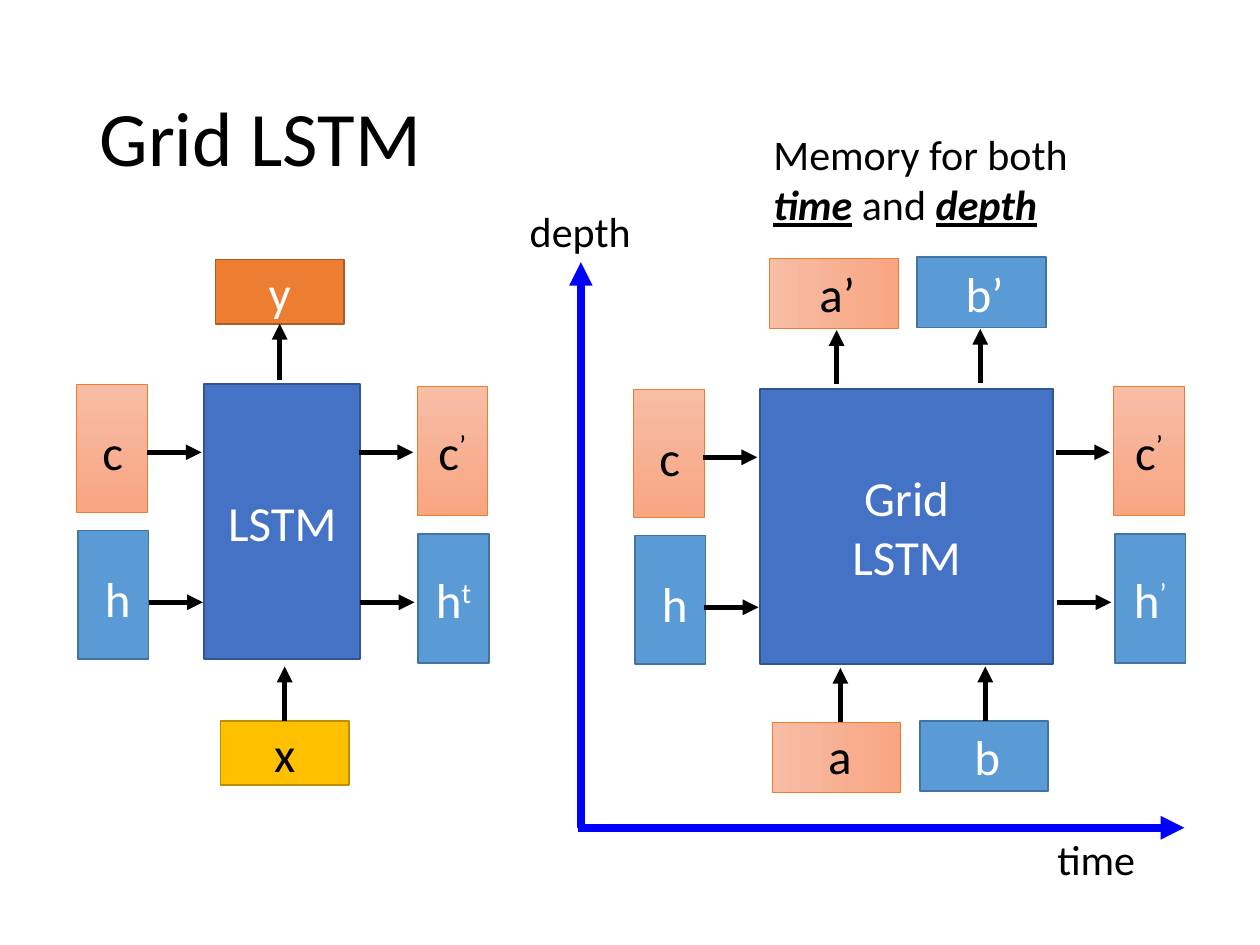
from lxml.etree import SubElement
from pptx import Presentation
from pptx.dml.color import RGBColor
from pptx.enum.shapes import MSO_CONNECTOR, MSO_SHAPE
from pptx.enum.text import MSO_ANCHOR, PP_ALIGN
from pptx.oxml.ns import qn
from pptx.util import Inches, Pt


def color(value):
    return RGBColor.from_string(value)


def style(paragraph, size, font_color, align=PP_ALIGN.CENTER):
    paragraph.alignment = align
    paragraph.font.name = "Calibri"
    paragraph.font.size = Pt(size)
    paragraph.font.color.rgb = color(font_color)


presentation = Presentation()
presentation.slide_width = Inches(10)
presentation.slide_height = Inches(7.5)
slide = presentation.slides.add_slide(presentation.slide_layouts[5])

title = slide.shapes.title
title.left, title.top = Inches(0.69), Inches(0.4)
title.width, title.height = Inches(8.62), Inches(1.45)
title.text_frame.text = "Grid LSTM"
title.text_frame.vertical_anchor = MSO_ANCHOR.MIDDLE
title.text_frame.paragraphs[0].line_spacing = 0.9
style(title.text_frame.paragraphs[0], 44, "000000", PP_ALIGN.LEFT)

looks = {
    "cell": ("4472C4", "325491", 1, "FFFFFF"),
    "memory": (None, "ED7D31", 0.5, "000000"),
    "hidden": ("5B9BD5", "43739E", 1, "FFFFFF"),
    "output": ("ED7D31", "AF5C24", 1, "FFFFFF"),
    "input": ("FFC000", "BD8E00", 1, "000000"),
}
state, flat = (0.56, 1.02), (1.02, 0.51)
boxes = [
    ("cell", 1.62, 3.05, (1.24, 2.18), 0, "LSTM", ""),
    ("output", 1.71, 2.06, flat, 0, "y", ""),
    ("input", 1.75, 5.72, flat, 0, "x", ""),
    ("memory", 0.61, 3.05, state, 0, "", ""),
    ("hidden", 0.62, 4.21, state, 0, "", ""),
    ("memory", 3.31, 3.07, state, 0, "c", "’"),
    ("hidden", 3.32, 4.24, state, 0, "h", "t"),
    ("cell", 6.03, 3.09, (2.33, 2.18), 0, "Grid\nLSTM", ""),
    ("memory", 5.03, 3.09, state, 0, "", ""),
    ("hidden", 5.04, 4.25, state, 0, "", ""),
    ("memory", 8.84, 3.07, state, 0, "c", "’"),
    ("hidden", 8.85, 4.24, state, 0, "h", "’"),
    ("memory", 6.36, 5.5, state, 270, "", ""),
    ("hidden", 7.53, 5.49, state, 270, "", ""),
    ("memory", 6.34, 1.82, state, 270, "", ""),
    ("hidden", 7.51, 1.81, state, 270, "", ""),
]
box_shapes = {}
for look, left, top, (width, height), rotation, text, superscript in boxes:
    fill, line, line_width, font_color = looks[look]
    shape = slide.shapes.add_shape(
        MSO_SHAPE.RECTANGLE, Inches(left), Inches(top), Inches(width), Inches(height))
    shape.rotation = rotation
    shape.shadow.inherit = False
    if fill:
        shape.fill.solid()
        shape.fill.fore_color.rgb = color(fill)
    else:
        shape.fill.gradient()
        shape.fill.gradient_angle = 270
        for stop, stop_color in zip(shape.fill.gradient_stops, ("F7BDA5", "F8A582")):
            stop.color.rgb = color(stop_color)
    shape.line.color.rgb = color(line)
    shape.line.width = Pt(line_width)
    if text:
        shape.text_frame.text = text
        shape.text_frame.vertical_anchor = MSO_ANCHOR.MIDDLE
        for paragraph in shape.text_frame.paragraphs:
            style(paragraph, 28, font_color)
    if superscript:
        run = shape.text_frame.paragraphs[0].add_run()
        run.text = superscript
        run._r.get_or_add_rPr().set("baseline", "30000")
    box_shapes[look, left] = shape

right_starts = [(1.17, 3.59), (1.18, 4.78), (2.85, 3.59), (2.86, 4.78),
                (5.58, 3.63), (5.59, 4.82), (8.38, 3.59), (8.39, 4.78)]
up_starts = [(6.67, 5.73), (7.82, 5.72), (6.64, 3.05), (7.78, 3.04)]
length = 0.43
arrows = [(x, y, x + length, y, "000000", 3, None, None) for x, y in right_starts]
arrows += [(x, y, x, y - length, "000000", 3, None, None) for x, y in up_starts]
arrows += [
    (2.26, 5.72, 2.26, 5.29, "000000", 3, box_shapes["input", 1.75], None),
    (2.22, 3.02, 2.22, 2.57, "000000", 3, None, box_shapes["output", 1.71]),
    (4.59, 6.57, 9.4, 6.57, "0000FF", 4.5, None, None),
    (4.61, 6.57, 4.61, 2.08, "0000FF", 4.5, None, None),
]
for x1, y1, x2, y2, line, line_width, source, target in arrows:
    connector = slide.shapes.add_connector(
        MSO_CONNECTOR.STRAIGHT, Inches(x1), Inches(y1), Inches(x2), Inches(y2))
    if source:
        connector.begin_connect(source, 0)
    if target:
        connector.end_connect(target, 2)
    connector.line.color.rgb = color(line)
    connector.line.width = Pt(line_width)
    SubElement(connector.line._get_or_add_ln(), qn("a:tailEnd"), type="triangle")
    SubElement(connector._element.spPr, qn("a:effectLst"))

labels = [
    ("c", 0.71, 3.3, 0.37, 0.57, 28, "000000"),
    ("h", 0.73, 4.46, 0.41, 0.57, 28, "FFFFFF"),
    ("c", 5.13, 3.34, 0.37, 0.57, 28, "000000"),
    ("h", 5.15, 4.5, 0.41, 0.57, 28, "FFFFFF"),
    ("a", 6.47, 5.71, 0.39, 0.57, 28, "000000"),
    ("b", 7.63, 5.72, 0.41, 0.57, 28, "FFFFFF"),
    ("a’", 6.4, 2.04, 0.49, 0.57, 28, "000000"),
    ("b’", 7.56, 2.04, 0.51, 0.57, 28, "FFFFFF"),
    ("time", 7.78, 6.57, 1.84, 0.5, 24, "000000"),
    ("depth", 4.03, 1.58, 1.15, 0.5, 24, "000000"),
]
for text, left, top, width, height, size, font_color in labels:
    label = slide.shapes.add_textbox(Inches(left), Inches(top), Inches(width), Inches(height))
    label.text_frame.word_wrap = size == 24
    label.text_frame.text = text
    style(label.text_frame.paragraphs[0], size, font_color)

note = slide.shapes.add_textbox(Inches(6.04), Inches(0.97), Inches(2.94), Inches(0.91))
note.text_frame.word_wrap = True
paragraph = note.text_frame.paragraphs[0]
style(paragraph, 24, "000000", PP_ALIGN.LEFT)
for text, emphasis in [("Memory for both ", False), ("time", True),
                       (" and ", False), ("depth", True)]:
    run = paragraph.add_run()
    run.text = text
    run.font.bold = run.font.italic = run.font.underline = emphasis

presentation.save("out.pptx")
